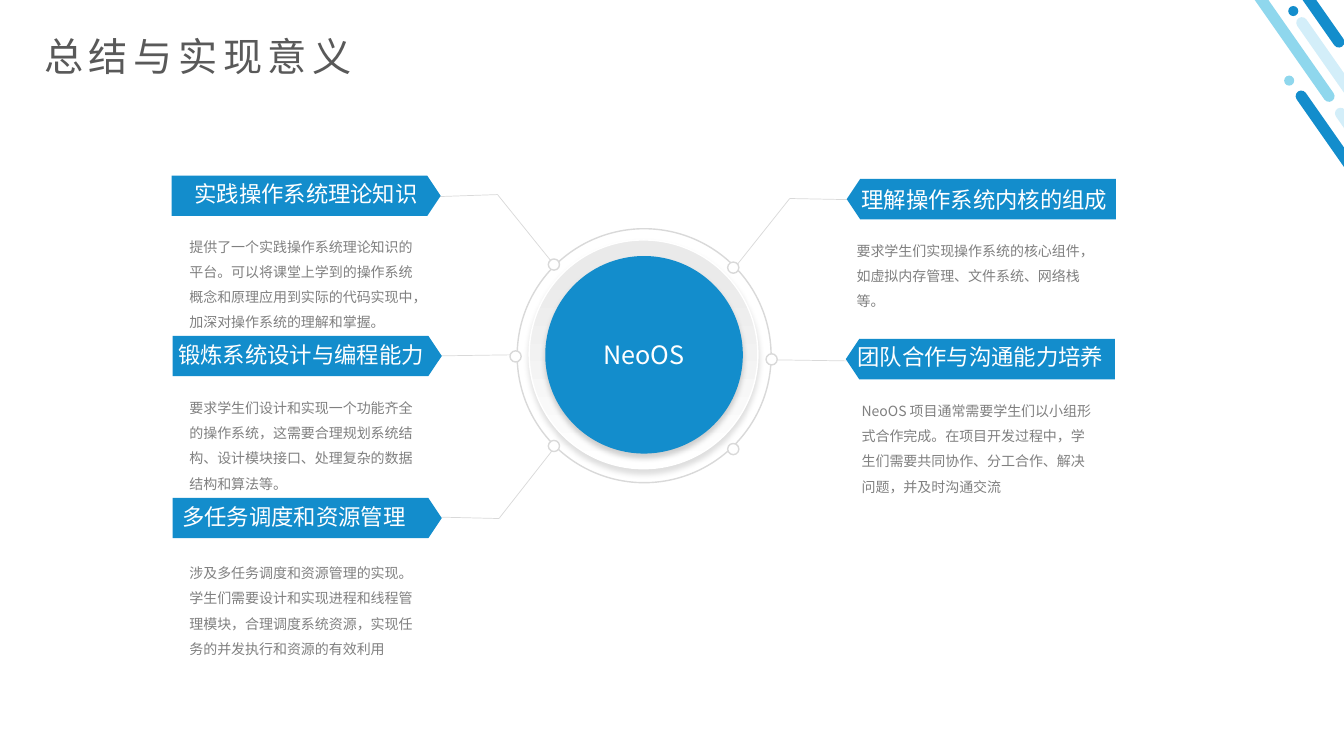
import pptx
import pptx.util
import pptx.dml.color
import pptx.enum.shapes
import pptx.enum.text
import pptx.oxml
import pptx.oxml.ns
from lxml import etree

Pt = pptx.util.Pt
PRESET = pptx.enum.shapes.MSO_SHAPE
FONT = "Noto Sans CJK SC"
BLUE, SKY, PALE = "138DCC", "8FD7ED", "D3EEF9"
WHITE, RULE = "FFFFFF", "D9D9D9"
BANNER_W, BANNER_H, TIP = 192.2, 28.8, 9.6
BODY_W, BODY_H = 182.9, 54
NODE = 8

# left, top, width, height, colour
STRIPES = [
    (968.4, 51.1, 8, 157.7, BLUE),
    (996.5, 63.4, 8, 157.7, PALE),
    (890.6, -108.7, 8, 198.7, SKY),
    (980.6, -5, 8, 198.7, PALE),
    (909.4, -110.2, 8, 157.7, BLUE),
]
DOTS = [(917.3, 54, SKY), (920.2, 4.3, BLUE)]

# banner corner, points left, heading, heading box, body, body corner, lead line
TOPICS = [
    ((122.6, 125.5), False, "实践操作系统理论知识", (131.8, 125.3, 179.3),
     "提供了一个实践操作系统理论知识的平台。可以将课堂上学到的操作系统概念和原理应用到"
     "实际的代码实现中，加深对操作系统的理解和掌握。", (128.2, 160.6),
     [(396, 189.4), (355.4, 139), (314, 140.4)]),
    ((123.4, 239.9), False, "锻炼系统设计与编程能力", (120.2, 239.8, 195.8),
     "要求学生们设计和实现一个功能齐全的操作系统，这需要合理规划系统结构、设计模块接口、"
     "处理复杂的数据结构和算法等。", (128.2, 275.8),
     [(369.4, 253.4), (314.6, 254.2)]),
    ((123.4, 355.7), False, "多任务调度和资源管理", (123.1, 355.7, 188.6),
     "涉及多任务调度和资源管理的实现。学生们需要设计和实现进程和线程管理模块，"
     "合理调度系统资源，实现任务的并发执行和资源的有效利用", (128.2, 393.8),
     [(396.7, 319), (356.4, 370.4), (314.6, 369.4)]),
    ((604.8, 127.8), True, "理解操作系统内核的组成", (608.4, 129.6, 220.3),
     "要求学生们实现操作系统的核心组件，如虚拟内存管理、文件系统、网络栈等。",
     (604.8, 163.4), [(523.4, 193), (564.1, 141.8), (605.5, 142.6)]),
    ((604.1, 242.1), True, "团队合作与沟通能力培养", (605.5, 241.9, 195.8),
     "NeoOS 项目通常需要学生们以小组形式合作完成。在项目开发过程中，学生们需要共同协作、"
     "分工合作、解决问题，并及时沟通交流", (608.4, 277.9),
     [(550.1, 257), (604.8, 257.8)]),
]
NODES = [(391.7, 185), (364.3, 250.6), (391.7, 314.6),
         (519.8, 187.2), (547.2, 252.7), (519.8, 316.8)]


def rgb(value):
    return pptx.dml.color.RGBColor.from_string(value)


def add_preset(slide, preset, left, top, width, height, fill=None, line=None):
    shape = slide.shapes.add_shape(preset, Pt(left), Pt(top), Pt(width), Pt(height))
    shape.shadow.inherit = False
    if fill:
        shape.fill.solid()
        shape.fill.fore_color.rgb = rgb(fill)
    else:
        shape.fill.background()
    if line:
        shape.line.color.rgb = rgb(line)
        shape.line.width = Pt(1)
    else:
        shape.line.fill.background()
    return shape


def add_circle(slide, left, top, size, fill=None, line=None):
    return add_preset(slide, PRESET.OVAL, left, top, size, size, fill, line)


def drop_shadow(shape, opacity):
    """Cast a soft black shadow straight down; opacity is in percent."""
    effects = shape._element.spPr.find(pptx.oxml.ns.qn("a:effectLst"))
    effects.append(pptx.oxml.parse_xml(
        f'<a:outerShdw {pptx.oxml.ns.nsdecls("a")} blurRad="{Pt(4)}" dist="{Pt(3)}" '
        f'dir="5400000" algn="t" rotWithShape="0"><a:srgbClr val="000000">'
        f'<a:alpha val="{opacity * 1000}"/></a:srgbClr></a:outerShdw>'))


def write(frame, text, size, colour, spacing=0):
    frame.text = text
    for run in frame.paragraphs[0].runs:
        run.font.size = Pt(size)
        run.font.name = FONT
        run.font.color.rgb = rgb(colour)
        properties = run._r.get_or_add_rPr()
        east_asian = etree.SubElement(properties, pptx.oxml.ns.qn("a:ea"))
        east_asian.set("typeface", FONT)
        if spacing:
            properties.set("spc", str(spacing * 100))


def add_text(slide, left, top, width, height, text, size, colour, spacing=0):
    box = slide.shapes.add_textbox(Pt(left), Pt(top), Pt(width), Pt(height))
    box.text_frame.word_wrap = True
    write(box.text_frame, text, size, colour, spacing)
    return box.text_frame


def add_lead(slide, points):
    for (x1, y1), (x2, y2) in zip(points, points[1:]):
        lead = slide.shapes.add_connector(
            pptx.enum.shapes.MSO_CONNECTOR.STRAIGHT, Pt(x1), Pt(y1), Pt(x2), Pt(y2))
        lead.line.color.rgb = rgb(RULE)
        lead.line.width = Pt(0.5)
        etree.SubElement(lead._element.spPr, pptx.oxml.ns.qn("a:effectLst"))


def add_corner_stripes(slide):
    for left, top, width, height, colour in STRIPES:
        stripe = add_preset(slide, PRESET.ROUNDED_RECTANGLE, left, top, width, height, colour)
        stripe.adjustments[0] = 0.5
        stripe.rotation = 325
    for left, top, colour in DOTS:
        add_circle(slide, left, top, 7.2, colour)


def add_hub(slide):
    add_circle(slide, 369.4, 163.4, 181.4, line=RULE)
    rim = add_circle(slide, 378, 171.4, 163.4, WHITE, WHITE)
    rim.fill.gradient()
    rim.fill.gradient_angle = 270
    for stop, position, colour in zip(rim.fill.gradient_stops, (0.14, 1), ("EAEAEA", WHITE)):
        stop.position = position
        stop.color.rgb = rgb(colour)
    drop_shadow(rim, 13)
    core = add_circle(slide, 389.5, 182.9, 141.1, BLUE)
    drop_shadow(core, 18)
    write(core.text_frame, "NeoOS", 18, WHITE)
    core.text_frame.vertical_anchor = pptx.enum.text.MSO_ANCHOR.MIDDLE
    core.text_frame.paragraphs[0].alignment = pptx.enum.text.PP_ALIGN.CENTER


def add_topic(slide, corner, points_left, heading, heading_box, body, body_corner, lead):
    add_lead(slide, lead)
    banner = add_preset(slide, PRESET.PENTAGON, *corner, BANNER_W, BANNER_H, BLUE)
    banner.adjustments[0] = TIP / BANNER_H
    if points_left:
        banner.rotation = 180
    add_text(slide, *heading_box, 26.6, heading, 16, WHITE)
    body_frame = add_text(slide, *body_corner, BODY_W, BODY_H, body, 10, "808080")
    body_frame.paragraphs[0].line_spacing = 1.5


def main():
    deck = pptx.Presentation()
    deck.slide_width, deck.slide_height = Pt(960), Pt(540)
    slide = deck.slides.add_slide(deck.slide_layouts[6])
    add_corner_stripes(slide)
    add_text(slide, 24.5, 19.4, 937.4, 41, "总结与实现意义", 28, "595959", spacing=4)
    add_hub(slide)
    for topic in TOPICS:
        add_topic(slide, *topic)
    for left, top in NODES:
        add_circle(slide, left, top, NODE, WHITE, RULE)
    deck.save("out.pptx")


if __name__ == "__main__":
    main()
